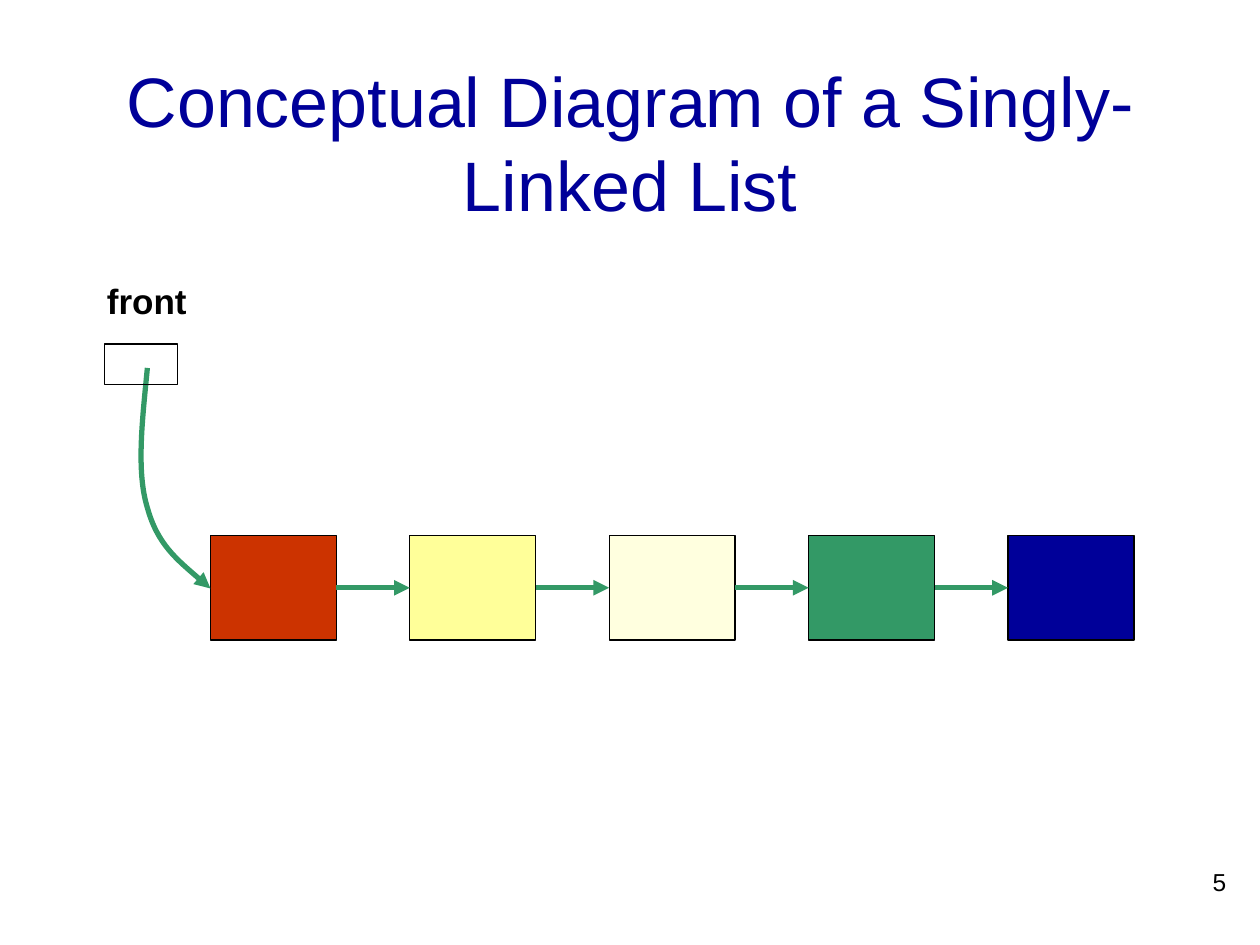
from dataclasses import dataclass

from lxml import etree
from pptx import Presentation
from pptx.dml.color import RGBColor
from pptx.enum import shapes, text
from pptx.oxml import ns
from pptx.util import Inches, Pt


@dataclass(frozen=True)
class Theme:
    """Colours and type sizes of the slide."""
    font: str = "Arial"
    title_color: str = "000099"
    ink: str = "000000"
    link: str = "339966"
    nodes: tuple = ("CC3300", "FFFF99", "FFFFDF", "339966", "000099")
    title_size: int = 40
    label_size: int = 20
    number_size: int = 14
    outline: float = 0.75
    link_width: int = 3


THEME = Theme()


def write(frame, words, size, color, align, bold=False):
    """Fill a text frame with one formatted paragraph."""
    frame.text = words
    frame.word_wrap = True
    frame.auto_size = text.MSO_AUTO_SIZE.NONE
    paragraph = frame.paragraphs[0]
    paragraph.alignment = align
    font = paragraph.runs[0].font
    font.name, font.size, font.bold = THEME.font, Pt(size), bold
    font.color.rgb = RGBColor.from_string(color)


def add_cell(slide, left, top, width, height, fill=None):
    """Draw an outlined rectangle, hollow unless a fill is given."""
    cell = slide.shapes.add_shape(
        shapes.MSO_SHAPE.RECTANGLE, Inches(left), Inches(top), Inches(width), Inches(height))
    cell.shadow.inherit = False
    if fill:
        cell.fill.solid()
        cell.fill.fore_color.rgb = RGBColor.from_string(fill)
    else:
        cell.fill.background()
    cell.line.color.rgb = RGBColor.from_string(THEME.ink)
    cell.line.width = Pt(THEME.outline)
    return cell


def style_link(link):
    """Give a link its colour, width and arrowhead, without a shadow."""
    link.line.color.rgb = RGBColor.from_string(THEME.link)
    link.line.width = Pt(THEME.link_width)
    properties = link._element.spPr
    outline = properties.find(ns.qn("a:ln"))
    etree.SubElement(outline, ns.qn("a:tailEnd"), type="triangle")
    if properties.find(ns.qn("a:effectLst")) is None:
        etree.SubElement(properties, ns.qn("a:effectLst"))


def add_curve(slide, points):
    """Draw an open cubic curve through a start and triples of control points."""
    start, *controls = [(Inches(x), Inches(y)) for x, y in points]
    builder = slide.shapes.build_freeform(*start)
    builder.add_line_segments(controls, close=False)
    curve = builder.convert_to_shape()
    curve.shadow.inherit = False
    curve.fill.background()
    segments = list(curve._element.iter(ns.qn("a:lnTo")))
    outline = segments[0].getparent()
    for first in range(0, len(segments), 3):
        bezier = etree.SubElement(outline, ns.qn("a:cubicBezTo"))
        for segment in segments[first:first + 3]:
            bezier.append(segment[0])
            outline.remove(segment)
    return curve


def add_title(slide, left, top, width, height):
    """Place and format the slide title."""
    title = slide.shapes.title
    title.left, title.top = Inches(left), Inches(top)
    title.width, title.height = Inches(width), Inches(height)
    write(title.text_frame, "Conceptual Diagram of a Singly-Linked List",
          THEME.title_size, THEME.title_color, text.PP_ALIGN.CENTER)
    title.text_frame.vertical_anchor = text.MSO_ANCHOR.MIDDLE


def add_node_chain(slide, left, top, width, height):
    """Draw equally spaced nodes, each linked to the next."""
    node_width = 1
    pitch = (width - node_width) / (len(THEME.nodes) - 1)
    nodes = [add_cell(slide, left + i * pitch, top, node_width, height, color)
             for i, color in enumerate(THEME.nodes)]
    for node, successor in zip(nodes, nodes[1:]):
        link = slide.shapes.add_connector(shapes.MSO_CONNECTOR.STRAIGHT, 0, 0, 0, 0)
        link.begin_connect(node, 3)
        link.end_connect(successor, 1)
        style_link(link)


def add_front_pointer(slide, left, top, width, height):
    """Draw the front label, its cell and the curve to the first node."""
    label = slide.shapes.add_textbox(Inches(left), Inches(top), Inches(1), Inches(0.44))
    write(label.text_frame, "front", THEME.label_size, THEME.ink, text.PP_ALIGN.LEFT, bold=True)
    right, bottom = left + width, top + height
    curve = add_curve(slide, [
        (right - 0.5, bottom - 1.75),
        (right - 0.54, bottom - 1.34), (right - 0.59, bottom - 0.93), (right - 0.5, bottom - 0.64),
        (right - 0.42, bottom - 0.35), (right - 0.21, bottom - 0.18), (right, bottom)])
    style_link(curve)
    add_cell(slide, left + 0.08, top + 0.56, 0.58, 0.32)


def add_page_number(slide, left, top, width, height):
    """Place the page number at the right."""
    number = slide.shapes.add_textbox(Inches(left), Inches(top), Inches(width), Inches(height))
    write(number.text_frame, "5", THEME.number_size, THEME.ink, text.PP_ALIGN.RIGHT)


def main():
    """Build the slide and save it."""
    deck = Presentation()
    deck.slide_width, deck.slide_height = Inches(10), Inches(7.5)
    slide = deck.slides.add_slide(deck.slide_layouts[5])
    add_title(slide, 0.75, 0.5, 8.5, 1.25)
    add_node_chain(slide, 1.67, 4.25, 7.33, 0.83)
    add_front_pointer(slide, 0.75, 2.17, 0.92, 2.5)
    add_page_number(slide, 7.75, 6.83, 2.08, 0.5)
    deck.save("out.pptx")


if __name__ == "__main__":
    main()
